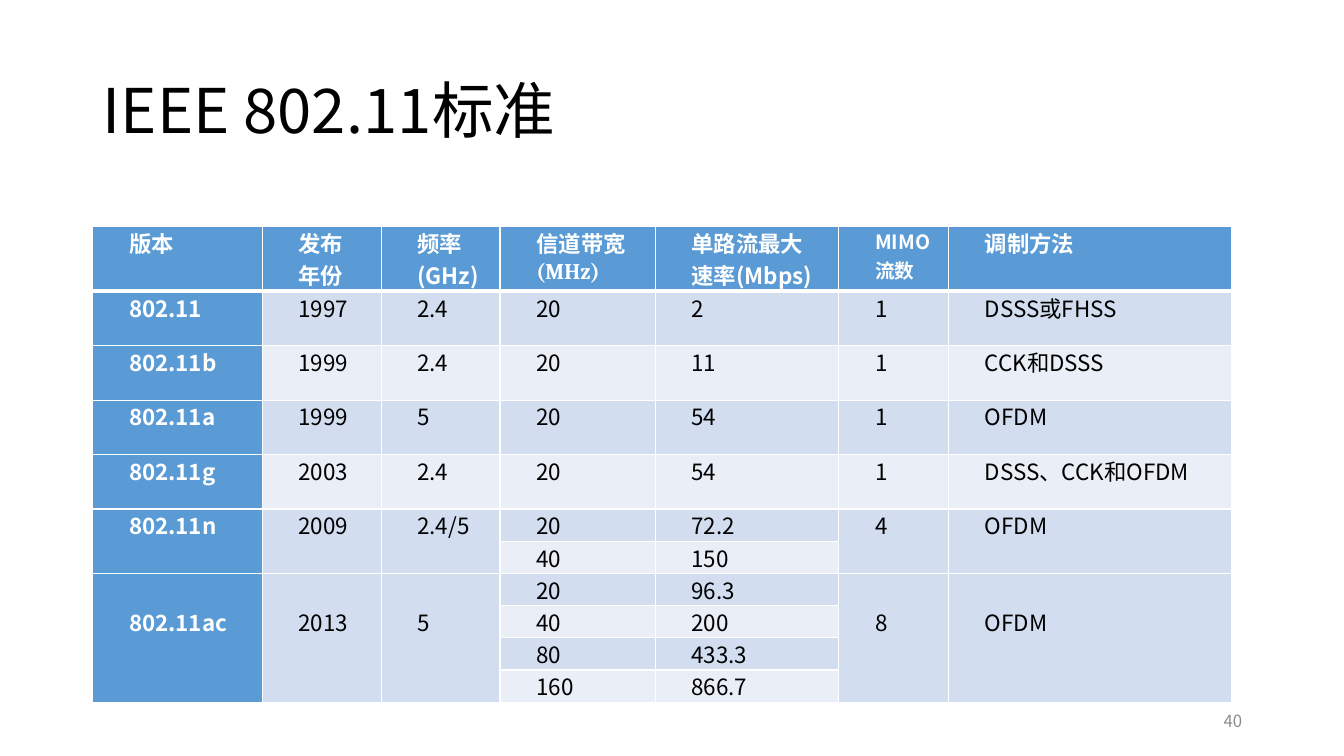
from dataclasses import dataclass

from lxml.etree import SubElement
from pptx import Presentation
from pptx.dml.color import RGBColor as RGB
from pptx.enum.text import MSO_ANCHOR as Anchor, MSO_AUTO_SIZE as Fit, PP_ALIGN as Align
from pptx.oxml import parse_xml
from pptx.oxml.ns import nsdecls, qn
from pptx.util import Inches, Pt


@dataclass(frozen=True)
class Theme:
    font: str = "Noto Sans CJK SC"
    serif: str = "Cambria"
    black: str = "000000"
    white: str = "FFFFFF"
    gray: str = "8C8C8C"
    blue: str = "5B9BD5"
    bands: tuple = ("EAEFF7", "D2DEEF")
    title: int = 44
    body: int = 16
    small: int = 14
    page: int = 12
    line: int = 1
    rule: int = 3


THEME = Theme()
LEFT = 0.92
WIDTHS = (1.68, 1.18, 1.18, 1.54, 1.82, 1.09, 2.81)
HEIGHTS = (0.64, *[0.54] * 4, *[0.32] * 6)
BAND_COL, MIMO_COL = 3, 5
HEAD = ("版本", "发布\n年份", "频率\n(GHz)", "信道带宽\n(MHz)",
        "单路流最大\n速率(Mbps)", "MIMO\n流数", "调制方法")
# Each standard: name, year, frequency, (bandwidth, rate) pairs, streams, modulation
STANDARDS = (
    ("802.11", "1997", "2.4", [("20", "2")], "1", "DSSS或FHSS"),
    ("802.11b", "1999", "2.4", [("20", "11")], "1", "CCK和DSSS"),
    ("802.11a", "1999", "5", [("20", "54")], "1", "OFDM"),
    ("802.11g", "2003", "2.4", [("20", "54")], "1", "DSSS、CCK和OFDM"),
    ("802.11n", "2009", "2.4/5", [("20", "72.2"), ("40", "150")], "4", "OFDM"),
    ("802.11ac", "2013", "5",
     [("20", "96.3"), ("40", "200"), ("80", "433.3"), ("160", "866.7")], "8", "OFDM"),
)


def add_run(para, text, size, color, bold=False, face=THEME.font):
    run = para.add_run()
    run.text = text
    font = run.font
    font.size, font.bold, font.name = Pt(size), bold, face
    font.color.rgb = RGB.from_string(color)
    SubElement(run._r.get_or_add_rPr(), qn("a:ea"), typeface=THEME.font)


def add_title(slide, text):
    title = slide.shapes.title
    title.left, title.top = Inches(LEFT), Inches(0.4)
    title.width, title.height = Inches(11.5), Inches(1.45)
    frame = title.text_frame
    frame.word_wrap, frame.auto_size = True, Fit.NONE
    frame.vertical_anchor = Anchor.MIDDLE
    para = frame.paragraphs[0]
    para.alignment, para.line_spacing = Align.LEFT, 0.9
    add_run(para, text, THEME.title, THEME.black)


def add_page(slide, text):
    box = slide.shapes.add_textbox(Inches(9.42), Inches(6.95), Inches(3), Inches(0.4))
    frame = box.text_frame
    frame.word_wrap = True
    frame.vertical_anchor = Anchor.MIDDLE
    para = frame.paragraphs[0]
    para.alignment = Align.RIGHT
    add_run(para, text, THEME.page, THEME.gray)


def style_cell(cell, row, col):
    """Set the fill, insets and white borders that the cell's place calls for."""
    cell.fill.solid()
    fill = THEME.blue if row == 0 or col == 0 else THEME.bands[row % 2]
    cell.fill.fore_color.rgb = RGB.from_string(fill)
    cell.margin_left = cell.margin_right = Inches(0.07)
    cell.margin_top = cell.margin_bottom = 0
    heavy = {(0, "B"), (1, "T")}
    for spot, side in enumerate("LRTB"):
        width = Pt(THEME.rule if (row, side) in heavy else THEME.line)
        edge = parse_xml(
            f'<a:ln{side} {nsdecls("a")} w="{width}"><a:solidFill>'
            f'<a:srgbClr val="{THEME.white}"/></a:solidFill></a:ln{side}>')
        cell._tc.tcPr.insert(spot, edge)


def fill_cell(cell, text, size=THEME.body, color=THEME.black, bold=False, face=THEME.font):
    frame = cell.text_frame
    for spot, line in enumerate(text.split("\n")):
        para = frame.add_paragraph() if spot else frame.paragraphs[0]
        props = para._p.get_or_add_pPr()
        props.set("marL", "0")
        props.set("indent", str(Inches(0.29)))
        add_run(para, line, size, color, bold, face)


def fill_head(table):
    for col, text in enumerate(HEAD):
        size = THEME.small if col == MIMO_COL else THEME.body
        face = THEME.serif if col == BAND_COL else THEME.font
        fill_cell(table.cell(0, col), text, size, THEME.white, True, face)


def fill_body(table):
    row = 1
    for name, year, freq, rates, streams, method in STANDARDS:
        last = row + len(rates) - 1
        shared = {0: name, 1: year, 2: freq, MIMO_COL: streams, 6: method}
        for col, text in shared.items():
            cell = table.cell(row, col)
            if last > row:
                cell.merge(table.cell(last, col))
            if len(rates) > 2:
                cell.margin_top = Inches(HEIGHTS[row])
            color = THEME.black if col else THEME.white
            fill_cell(cell, text, color=color, bold=col == 0)
        for step, pair in enumerate(rates):
            for shift, text in enumerate(pair):
                fill_cell(table.cell(row + step, BAND_COL + shift), text)
        row = last + 1


def add_grid(slide):
    frame = slide.shapes.add_table(
        len(HEIGHTS), len(WIDTHS), Inches(LEFT), Inches(2.25),
        Inches(sum(WIDTHS)), Inches(sum(HEIGHTS)))
    table = frame.table
    for col, width in enumerate(WIDTHS):
        table.columns[col].width = Inches(width)
    for row, height in enumerate(HEIGHTS):
        table.rows[row].height = Inches(height)
        for col in range(len(WIDTHS)):
            style_cell(table.cell(row, col), row, col)
    fill_head(table)
    fill_body(table)


def main():
    deck = Presentation()
    deck.slide_width, deck.slide_height = Inches(13.33), Inches(7.5)
    slide = deck.slides.add_slide(deck.slide_layouts[5])
    add_title(slide, "IEEE 802.11标准")
    add_page(slide, "40")
    add_grid(slide)
    deck.save("out.pptx")


if __name__ == "__main__":
    main()
